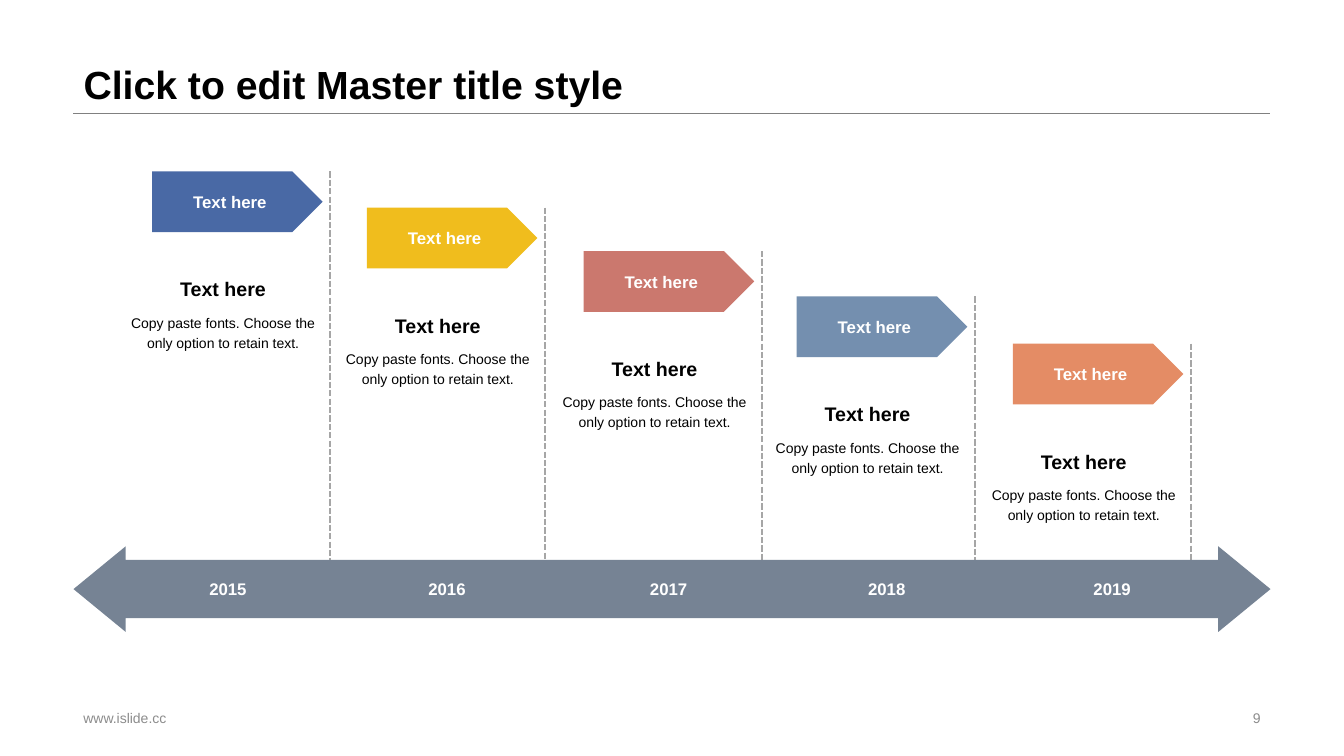
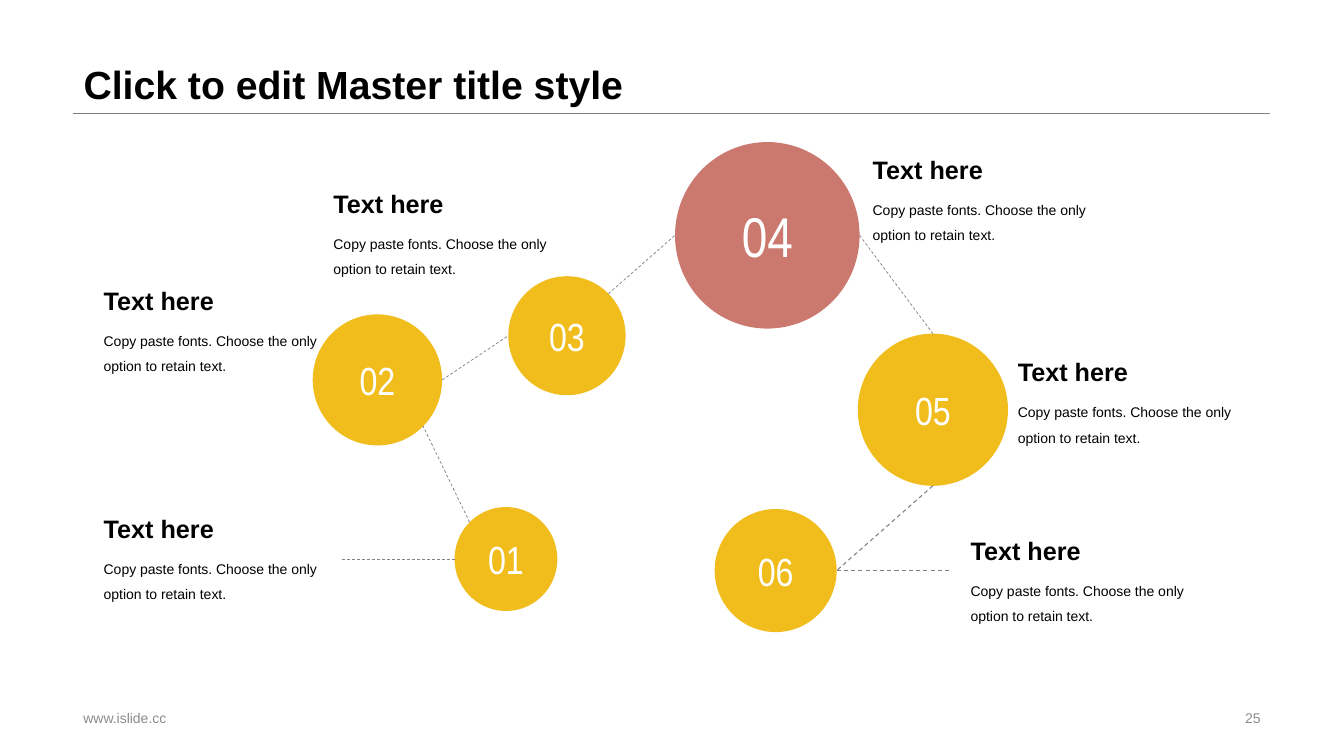
from dataclasses import dataclass
from math import cos, radians, sin

from lxml.etree import SubElement
from pptx import Presentation
from pptx.dml.color import RGBColor
from pptx.enum.dml import MSO_LINE
from pptx.enum.shapes import MSO_CONNECTOR, MSO_SHAPE
from pptx.enum.text import MSO_ANCHOR, MSO_AUTO_SIZE, PP_ALIGN
from pptx.oxml.ns import qn
from pptx.shapes.autoshape import Shape
from pptx.slide import Slide
from pptx.util import Pt

# Colours
BLACK = RGBColor(0x00, 0x00, 0x00)
WHITE = RGBColor(0xFF, 0xFF, 0xFF)
GREY = RGBColor(0x80, 0x80, 0x80)
LIGHT_GREY = RGBColor(0xA6, 0xA6, 0xA6)
FOOTER_GREY = RGBColor(0x8C, 0x8C, 0x8C)
SLATE = RGBColor(0x76, 0x83, 0x94)
BLUE = RGBColor(0x49, 0x69, 0xA5)
YELLOW = RGBColor(0xF0, 0xBD, 0x1D)
RED = RGBColor(0xCB, 0x78, 0x6E)
STEEL = RGBColor(0x74, 0x8F, 0xAF)
ORANGE = RGBColor(0xE4, 0x8C, 0x65)

# Shared frame, in points
SLIDE_W, SLIDE_H = 960, 540
LEFT, CONTENT_W = 52.5, 855
RIGHT = LEFT + CONTENT_W
TITLE_BOTTOM = 80.7
FOOTER_TOP, FOOTER_H = 504.7, 16.6

HEADING = "Text here"
BODY = "Copy paste fonts. Choose the only option to retain text."


@dataclass(frozen=True)
class Style:
    size: float
    color: RGBColor = BLACK
    bold: bool = False
    align: PP_ALIGN = PP_ALIGN.LEFT
    anchor: MSO_ANCHOR = MSO_ANCHOR.TOP
    spacing: float = 1.0
    font: str = "Arial"


CENTER, MIDDLE, BOTTOM = PP_ALIGN.CENTER, MSO_ANCHOR.MIDDLE, MSO_ANCHOR.BOTTOM
TITLE = Style(28, bold=True, anchor=BOTTOM, spacing=0.9)
FOOTER = Style(10, FOOTER_GREY, anchor=MIDDLE)
PAGE_NUMBER = Style(10, FOOTER_GREY, align=PP_ALIGN.RIGHT, anchor=MIDDLE)
LABEL = Style(12, WHITE, True, CENTER, MIDDLE)
STEP_HEADING = Style(14, bold=True, align=CENTER, anchor=BOTTOM)
STEP_BODY = Style(10, align=CENTER, spacing=1.2)
CALLOUT_HEADING = Style(18, bold=True)
CALLOUT_BODY = Style(10, spacing=1.5)


@dataclass(frozen=True)
class Step:
    year: str
    year_center: float
    left: float
    top: float
    color: RGBColor


@dataclass(frozen=True)
class Bubble:
    number: str
    left: float
    top: float
    width: float
    height: float
    text_left: float
    text_top: float
    color: RGBColor = YELLOW
    size: float = 28

    def edge(self, angle: float) -> tuple[float, float]:
        """Point on the outline, clockwise in degrees from the right."""
        a = radians(angle)
        return (self.left + self.width / 2 * (1 + cos(a)),
                self.top + self.height / 2 * (1 + sin(a)))


STEPS = [
    Step("2015", 162.8, 108.7, 122.4, BLUE),
    Step("2016", 319.3, 262.1, 148.3, YELLOW),
    Step("2017", 477.6, 416.9, 179.3, RED),
    Step("2018", 633.4, 569.1, 211.7, STEEL),
    Step("2019", 794.4, 723.5, 245.5, ORANGE),
]

BUBBLES = [
    Bubble("01", 324.7, 362.2, 73.4, 74.2, 67, 362.9),
    Bubble("02", 223.4, 224.6, 92.4, 93.6, 67, 200.2),
    Bubble("03", 363.1, 197.3, 83.8, 85, 231.1, 131),
    Bubble("04", 482.2, 101.5, 131.8, 133.2, 616.3, 106.6, RED, 40),
    Bubble("05", 612.7, 238.3, 107.3, 108.7, 720, 251.3),
    Bubble("06", 510.5, 363.6, 87.1, 87.9, 686.2, 378.7),
]

# Angle out of each bubble, angle into the next one, line width
LINKS = [(225, 45, 0.5), (0, 180, 0.5), (315, 180, 0.5),
         (0, 270, 0.5), (90, 0, 0.75)]


def write(sp: Shape, text: str, style: Style) -> None:
    tf = sp.text_frame
    tf.auto_size = MSO_AUTO_SIZE.NONE
    tf.word_wrap = True
    tf.vertical_anchor = style.anchor
    tf.text = text
    p = tf.paragraphs[0]
    p.alignment = style.align
    p.line_spacing = style.spacing
    font = p.runs[0].font
    font.name, font.size, font.bold = style.font, Pt(style.size), style.bold
    font.color.rgb = style.color


def add_text(slide: Slide, text: str, style: Style, left: float, top: float,
             width: float, height: float) -> None:
    sp = slide.shapes.add_textbox(Pt(left), Pt(top), Pt(width), Pt(height))
    write(sp, text, style)


def add_filled(slide: Slide, kind: MSO_SHAPE, color: RGBColor, left: float,
               top: float, width: float, height: float) -> Shape:
    sp = slide.shapes.add_shape(kind, Pt(left), Pt(top), Pt(width), Pt(height))
    sp.shadow.inherit = False
    sp.fill.solid()
    sp.fill.fore_color.rgb = color
    sp.line.fill.background()
    return sp


def add_line(slide: Slide, start: tuple[float, float], end: tuple[float, float],
             color: RGBColor, width: float, dash: MSO_LINE | None = None) -> None:
    line = slide.shapes.add_connector(
        MSO_CONNECTOR.STRAIGHT, *(Pt(v) for v in (*start, *end)))
    line.line.color.rgb = color
    line.line.width = Pt(width)
    if dash is not None:
        line.line.dash_style = dash
    SubElement(line.element.spPr, qn("a:effectLst"))


def add_framed_slide(prs: Presentation, page: str) -> Slide:
    """Slide with the shared title, rule and footer."""
    slide = prs.slides.add_slide(prs.slide_layouts[5])
    title = slide.shapes.title
    title.left, title.top = Pt(LEFT), Pt(0)
    title.width, title.height = Pt(CONTENT_W), Pt(TITLE_BOTTOM)
    write(title, "Click to edit Master title style", TITLE)
    add_line(slide, (LEFT, TITLE_BOTTOM), (RIGHT, TITLE_BOTTOM), GREY, 0.25)
    add_text(slide, "www.islide.cc", FOOTER, LEFT, FOOTER_TOP, 326, FOOTER_H)
    add_text(slide, page, PAGE_NUMBER, RIGHT - 229, FOOTER_TOP, 229, FOOTER_H)
    return slide


def add_step(slide: Slide, step: Step, axis_top: float) -> None:
    tag = add_filled(slide, MSO_SHAPE.PENTAGON, step.color,
                     step.left, step.top, 121.8, 43.4)
    write(tag, HEADING, LABEL)
    divider, text_w = step.left + 127.3, 153.4
    add_line(slide, (divider, step.top), (divider, axis_top),
             LIGHT_GREY, 1.5, MSO_LINE.SQUARE_DOT)
    text_left = divider - text_w
    add_text(slide, HEADING, STEP_HEADING, text_left, step.top + 43.6, text_w, 52.4)
    add_text(slide, BODY, STEP_BODY, text_left, step.top + 96, text_w, 46.8)


def build_timeline(prs: Presentation) -> None:
    slide = add_framed_slide(prs, "9")
    for step in STEPS:
        add_step(slide, step, axis_top=400)

    # Time axis with the years
    axis_top, axis_h = 390.2, 61.2
    axis = add_filled(slide, MSO_SHAPE.LEFT_RIGHT_ARROW, SLATE,
                      LEFT, axis_top, CONTENT_W, axis_h)
    axis.adjustments[0], axis.adjustments[1] = 0.68, 0.61
    year_w, year_h = 60, 24.4
    for step in STEPS:
        add_text(slide, step.year, LABEL, step.year_center - year_w / 2,
                 axis_top + (axis_h - year_h) / 2, year_w, year_h)


def build_bubbles(prs: Presentation) -> None:
    slide = add_framed_slide(prs, "25")
    for b in BUBBLES:
        sp = add_filled(slide, MSO_SHAPE.OVAL, b.color,
                        b.left, b.top, b.width, b.height)
        write(sp, b.number, Style(b.size, WHITE, align=CENTER, anchor=MIDDLE,
                                  font="Arial Narrow"))
        sp.text_frame.word_wrap = False

    # Chain of links, then the two loose ends
    for b, following, (leave, enter, width) in zip(BUBBLES, BUBBLES[1:], LINKS):
        add_line(slide, b.edge(leave), following.edge(enter),
                 GREY, width, MSO_LINE.DASH)
    for b, angle, end_x, width in ((BUBBLES[0], 180, 243.5, 0.5),
                                   (BUBBLES[-1], 0, 678.3, 0.75)):
        start = b.edge(angle)
        add_line(slide, start, (end_x, start[1]), GREY, width, MSO_LINE.DASH)

    # Callouts
    for b in BUBBLES:
        add_text(slide, HEADING, CALLOUT_HEADING, b.text_left, b.text_top, 172.8, 27.6)
        add_text(slide, BODY, CALLOUT_BODY, b.text_left, b.text_top + 27.6, 172.8, 44)


def main() -> None:
    prs = Presentation()
    prs.slide_width, prs.slide_height = Pt(SLIDE_W), Pt(SLIDE_H)
    build_timeline(prs)
    build_bubbles(prs)
    prs.save("out.pptx")


if __name__ == "__main__":
    main()
